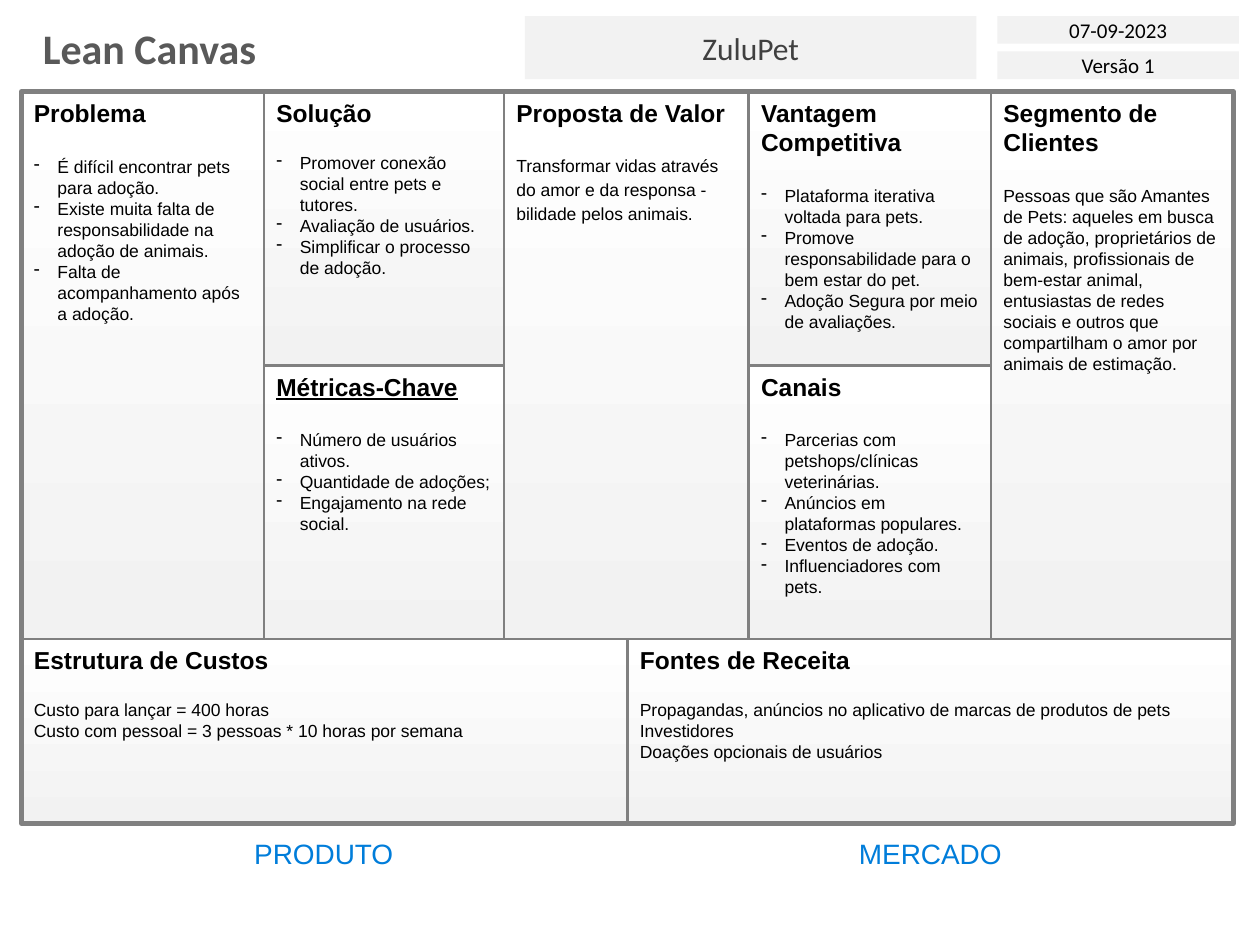
from pptx import Presentation
from pptx import util as u
from pptx.dml.color import RGBColor
from pptx.enum import shapes, text
from pptx.oxml.ns import qn
from lxml import etree

Pt = u.Pt
LEFT, TOP = 12.3, 52.4
COLUMN, HALF, BOTTOM = 138.5, 156.4, 105.2
OVERHANG = 1.3
HANGING = 13.5
GRAY, PALE, BLACK, BLUE = "808080", "F2F2F2", "000000", "007DDA"

BLOCKS = [
    ("Estrutura de Custos", (0, 2, 2.5, BOTTOM), 13.8, "", [
        "Custo para lançar = 400 horas",
        "Custo com pessoal = 3 pessoas * 10 horas por semana"]),
    ("Fontes de Receita", (2.5, 2, 2.5, BOTTOM), 13.8, "", [
        "Propagandas, anúncios no aplicativo de marcas de produtos de pets",
        "Investidores",
        "Doações opcionais de usuários"]),
    ("Problema", (0, 0, 1, 2 * HALF), 16.1, "-", [
        "É difícil encontrar pets para adoção.",
        "Existe muita falta de responsabilidade na adoção de animais.",
        "Falta de acompanhamento após a adoção."]),
    ("Solução", (1, 0, 1, HALF), 13.8, "-", [
        "Promover conexão social entre pets e tutores.",
        "Avaliação de usuários.",
        "Simplificar o processo de adoção."]),
    ("Métricas-Chave", (1, 1, 1, HALF), 16.1, "-", [
        "Número de usuários ativos.",
        "Quantidade de adoções;",
        "Engajamento na rede social."]),
    ("Proposta de Valor", (2, 0, 1, 2 * HALF), 13.8, "", [
        "Transformar vidas através do amor e da responsa -",
        "bilidade pelos animais."]),
    ("Vantagem Competitiva", (3, 0, 1, HALF), 16.1, "-", [
        "Plataforma iterativa voltada para pets.",
        "Promove responsabilidade para o bem estar do pet.",
        "Adoção Segura por meio de avaliações."]),
    ("Canais", (3, 1, 1, HALF), 16.1, "-", [
        "Parcerias com petshops/clínicas veterinárias.",
        "Anúncios em plataformas populares.",
        "Eventos de adoção.",
        "Influenciadores com pets."]),
    ("Segmento de Clientes", (4, 0, 1, 2 * HALF), 16.1, "", [
        "Pessoas que são Amantes de Pets: aqueles em busca de adoção, "
        "proprietários de animais, profissionais de bem-estar animal, "
        "entusiastas de redes sociais e outros que compartilham o amor "
        "por animais de estimação."]),
]


def color(value):
    return RGBColor.from_string(value)


def apply(target, values):
    for name, value in values.items():
        setattr(target, name, value)


def write(paragraph, words, size, font="Arial", ink=BLACK,
          align=text.PP_ALIGN.LEFT, **style):
    paragraph.alignment = align
    run = paragraph.add_run()
    run.text = words
    apply(run.font, {"size": Pt(size), "name": font, **style})
    run.font.color.rgb = color(ink)


def add_bullet(paragraph, mark):
    properties = paragraph._p.get_or_add_pPr()
    properties.set("marL", str(Pt(HANGING)))
    properties.set("indent", str(-Pt(HANGING)))
    etree.SubElement(properties, qn("a:buChar")).set("char", mark)


def add_box(slide, kind, left, top, width, height):
    shape = slide.shapes.add_shape(kind, Pt(left), Pt(top), Pt(width), Pt(height))
    shape.shadow.inherit = False
    return shape


def add_frame(slide, left, top, width, height, weight):
    shape = add_box(slide, shapes.MSO_SHAPE.ROUNDED_RECTANGLE, left, top, width, height)
    shape.adjustments[0] = 0
    shape.line.color.rgb = color(GRAY)
    shape.line.width = Pt(weight)
    return shape


def add_banner(slide, words, size, ink, left, top, width, height):
    shape = add_box(slide, shapes.MSO_SHAPE.RECTANGLE, left, top, width, height)
    shape.fill.solid()
    shape.fill.fore_color.rgb = color(PALE)
    shape.line.fill.background()
    frame = shape.text_frame
    apply(frame, {"word_wrap": True, "vertical_anchor": text.MSO_ANCHOR.MIDDLE})
    write(frame.paragraphs[0], words, size, "Calibri", ink, text.PP_ALIGN.CENTER)


def add_block(slide, heading, cell, gap, mark, lines):
    column, row, span, height = cell
    extra = OVERHANG if column == 2 else 0
    shape = add_frame(slide, LEFT + column * COLUMN - extra, TOP + row * HALF,
                      span * COLUMN + 2 * extra, height, 1.5)
    shape.fill.gradient()
    shape.fill.gradient_angle = 90
    for stop, value in zip(shape.fill.gradient_stops, (PALE, "FFFFFF")):
        stop.color.rgb = color(value)
    frame = shape.text_frame
    apply(frame, {"word_wrap": True, "vertical_anchor": text.MSO_ANCHOR.TOP})
    paragraph = frame.paragraphs[0]
    write(paragraph, heading, 14, bold=True, underline=heading == "Métricas-Chave")
    paragraph.space_after = Pt(gap)
    for line in lines:
        paragraph = frame.add_paragraph()
        write(paragraph, line, 10)
        if mark:
            add_bullet(paragraph, mark)
        if heading == "Proposta de Valor":
            paragraph.line_spacing = 1.15


def set_title(slide, words):
    title = slide.shapes.title
    apply(title, {"left": Pt(17.3), "top": Pt(9.4), "width": Pt(138.2), "height": Pt(36)})
    frame = title.text_frame
    apply(frame, {"word_wrap": False, "vertical_anchor": text.MSO_ANCHOR.TOP,
                  "auto_size": text.MSO_AUTO_SIZE.SHAPE_TO_FIT_TEXT})
    write(frame.paragraphs[0], words, 24, "Calibri", "595959", bold=True)


def add_label(slide, words, left, width):
    shape = slide.shapes.add_textbox(Pt(left), Pt(474.5), Pt(width), Pt(26.6))
    frame = shape.text_frame
    apply(frame, {"word_wrap": False, "auto_size": text.MSO_AUTO_SIZE.SHAPE_TO_FIT_TEXT})
    write(frame.paragraphs[0], words, 16, ink=BLUE, align=text.PP_ALIGN.CENTER)


def main():
    presentation = Presentation()
    apply(presentation, {"slide_width": Pt(720), "slide_height": Pt(540)})
    slide = presentation.slides.add_slide(presentation.slide_layouts[5])
    set_title(slide, "Lean Canvas")
    add_banner(slide, "ZuluPet", 18, "404040", 300, 9.2, 258, 36)
    add_banner(slide, "07-09-2023", 12, BLACK, 570, 9.2, 138, 15.8)
    add_banner(slide, "Versão 1", 12, BLACK, 570, 29.4, 138, 15.8)
    for block in BLOCKS:
        add_block(slide, *block)
    border = add_frame(slide, LEFT, TOP, 5 * COLUMN, 2 * HALF + BOTTOM, 3)
    border.fill.background()
    add_label(slide, "PRODUTO", 137.5, 95)
    add_label(slide, "MERCADO", 483, 97.2)
    presentation.save("out.pptx")


if __name__ == "__main__":
    main()
